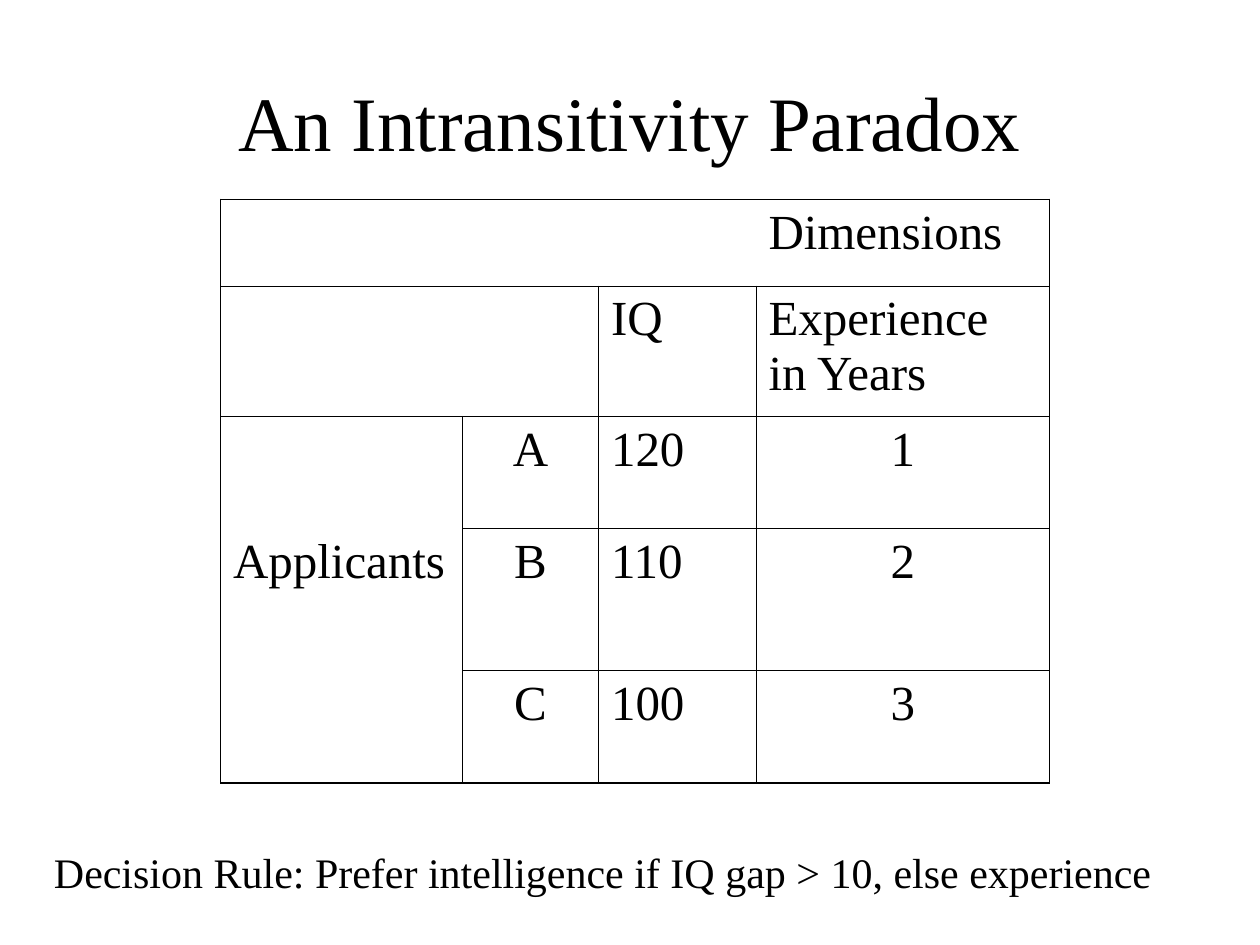
from lxml import etree
from pptx import Presentation, util as u
from pptx.dml.color import RGBColor
from pptx.enum import text
from pptx.oxml.ns import qn

COLORS = {"ink": "000000"}
FONT = "Times New Roman"
WIDTH, HEIGHT = u.Inches(10), u.Inches(7.5)
COLUMNS = [1.92, 1.08, 1.25, 2.33]
ROWS = [0.69, 1.03, 0.89, 1.13, 0.89]
ENTRIES = [
    ["", "", "", "Dimensions"],
    ["", "", "IQ", "Experience in Years"],
    ["", "A", "120", "1"],
    ["Applicants", "B", "110", "2"],
    ["", "C", "100", "3"],
]
OUTER, INNER = 1.08, 0.45


def write(frame, words, size, align=text.PP_ALIGN.LEFT, before=0):
    frame.text = words
    paragraph = frame.paragraphs[0]
    paragraph.alignment = align
    paragraph.space_before = u.Pt(before)
    for run in paragraph.runs:
        run.font.name = FONT
        run.font.size = u.Pt(size)
        run.font.color.rgb = RGBColor.from_string(COLORS["ink"])


def add_line_of_text(slide, left, top, width, height, words, size, **style):
    """Place a text box; lengths are shares of the slide's size."""
    box = slide.shapes.add_textbox(int(left * WIDTH), int(top * HEIGHT),
                                   int(width * WIDTH), int(height * HEIGHT))
    box.text_frame.word_wrap = True
    write(box.text_frame, words, size, **style)
    return box.text_frame


def vertical_rule(row, edge):
    """Width of the rule at a column edge: 0 is the table's left side."""
    if edge in (0, len(COLUMNS)):
        return OUTER if edge else INNER
    open_edge = row == 0 or (row == 1 and edge == 1)
    return 0 if open_edge else INNER


def horizontal_rule(edge, column):
    """Width of the rule at a row edge: the applicants column stays open."""
    if edge in (0, len(ROWS)):
        return OUTER if edge else INNER
    return 0 if column == 0 and edge > 2 else INNER


def set_border(cell, side, points):
    properties = cell._tc.get_or_add_tcPr()
    line = etree.SubElement(properties, qn(f"a:ln{side}"), w=str(u.Pt(points)))
    if points:
        fill = etree.SubElement(line, qn("a:solidFill"))
        etree.SubElement(fill, qn("a:srgbClr"), val=COLORS["ink"])
    else:
        etree.SubElement(line, qn("a:noFill"))


def add_applicants_table(slide):
    table = slide.shapes.add_table(
        len(ROWS), len(COLUMNS), u.Inches(1.75), u.Inches(1.58),
        u.Inches(sum(COLUMNS)), u.Inches(sum(ROWS))).table
    table.first_row = table.horz_banding = False
    for column, width in zip(table.columns, COLUMNS):
        column.width = u.Inches(width)
    for row, height in zip(table.rows, ROWS):
        row.height = u.Inches(height)

    for r, entries in enumerate(ENTRIES):
        for c, words in enumerate(entries):
            cell = table.cell(r, c)
            centered = r > 1 and c in (1, 3)
            align = text.PP_ALIGN.CENTER if centered else text.PP_ALIGN.LEFT
            write(cell.text_frame, words, 28, align, before=7)
            set_border(cell, "L", vertical_rule(r, c))
            set_border(cell, "R", vertical_rule(r, c + 1))
            set_border(cell, "T", horizontal_rule(r, c))
            set_border(cell, "B", horizontal_rule(r + 1, c))
            cell.fill.background()


def main():
    deck = Presentation()
    deck.slide_width, deck.slide_height = WIDTH, HEIGHT
    slide = deck.slides.add_slide(deck.slide_layouts[6])

    # Title
    title = add_line_of_text(slide, 0.075, 0.044, 0.85, 0.167,
                             "An Intransitivity Paradox", 44,
                             align=text.PP_ALIGN.CENTER)
    title.vertical_anchor = text.MSO_ANCHOR.MIDDLE

    # Applicants compared on both dimensions
    add_applicants_table(slide)

    # Decision rule
    add_line_of_text(
        slide, 0.033, 0.889, 0.917, 0.067,
        "Decision Rule: Prefer intelligence if IQ gap > 10, else experience",
        24, before=15)

    deck.save("out.pptx")


if __name__ == "__main__":
    main()
